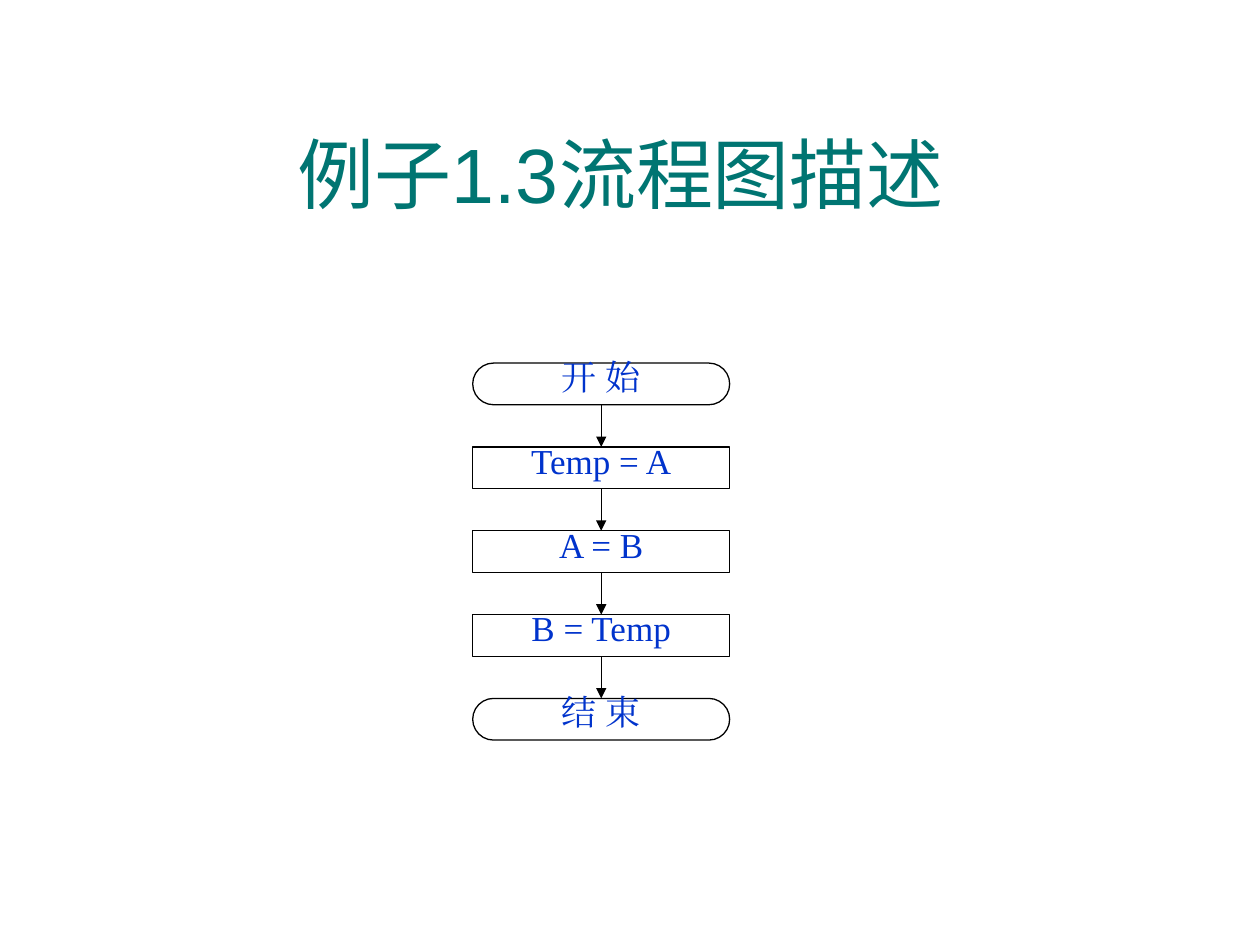
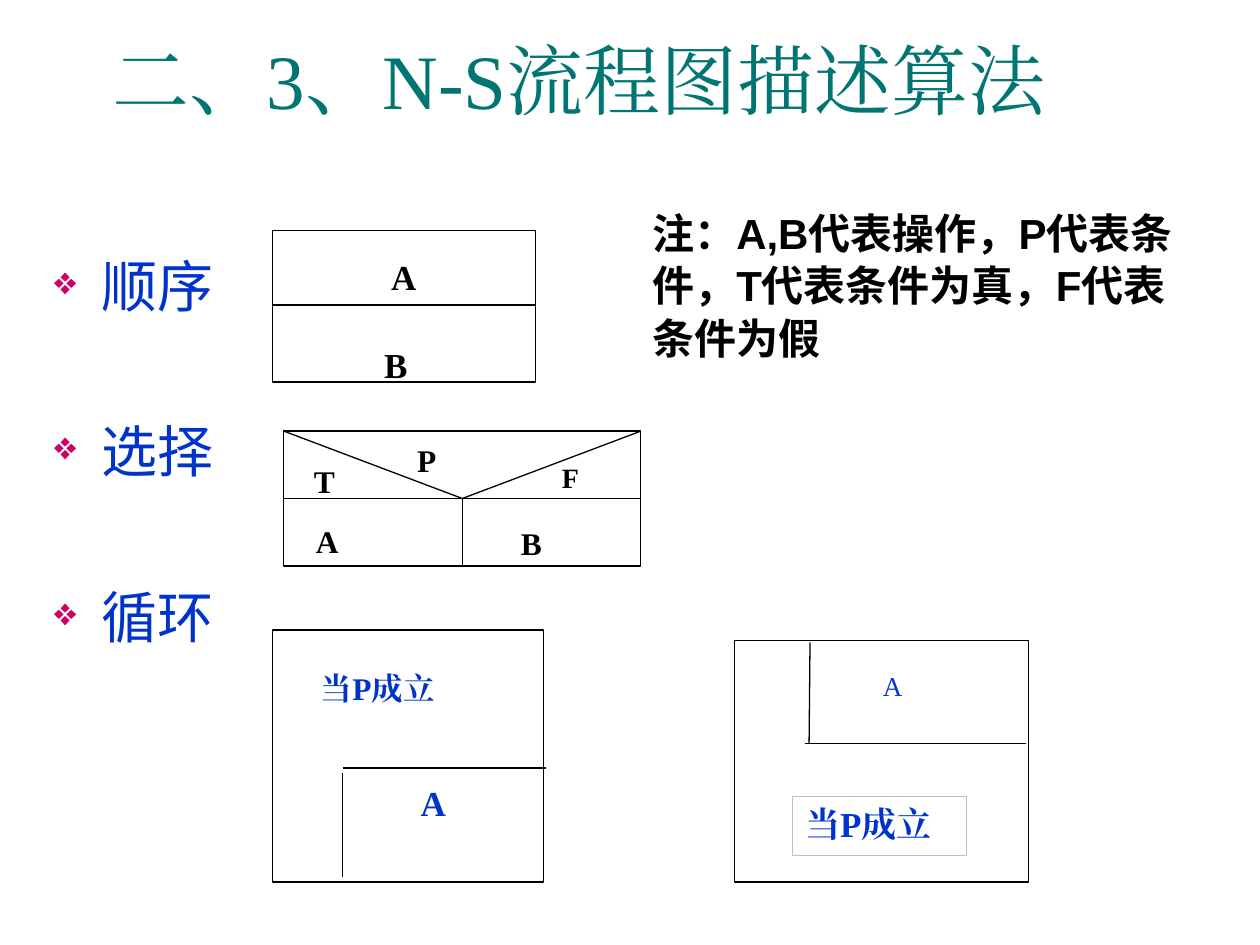
import pptx
import pptx.dml.color
import pptx.enum.shapes
import pptx.enum.text
import pptx.oxml.ns
import pptx.util
from lxml import etree

Cm = pptx.util.Cm
Pt = pptx.util.Pt
SHAPE = pptx.enum.shapes.MSO_SHAPE
ALIGN = pptx.enum.text.PP_ALIGN
ANCHOR = pptx.enum.text.MSO_ANCHOR
qn = pptx.oxml.ns.qn

TEAL, BLUE, BLACK, WHITE = "007572", "0033CC", "000000", "FFFFFF"
SILVER, PINK = "C0C0C0", "CC0066"
SANS, SERIF = "Arial", "Times New Roman"
INSET_X, INSET_Y = 0.25, 0.13


def colour(code):
    """Turn a hex string into a colour."""
    return pptx.dml.color.RGBColor.from_string(code)


def style_paragraph(para, size, font, code, bold=False, align=ALIGN.LEFT, spacing=None):
    """Set the font, alignment and line spacing of a paragraph."""
    para.alignment = align
    if spacing:
        para.line_spacing = spacing
    para.font.size = Pt(size)
    para.font.name = font
    para.font.bold = bold
    para.font.color.rgb = colour(code)
    properties = para.font._element
    latin = properties.find(qn("a:latin"))
    east_asian = etree.Element(qn("a:ea"), typeface=font)
    latin.addnext(east_asian)


def set_insets(frame):
    """Give a text frame the shared insets."""
    frame.margin_left = frame.margin_right = Cm(INSET_X)
    frame.margin_top = frame.margin_bottom = Cm(INSET_Y)


def add_text(page, text, left, top, width, height, size, font=SERIF, code=BLACK, **style):
    """Add a wrapping text box with one paragraph."""
    box = page.shapes.add_textbox(Cm(left), Cm(top), Cm(width), Cm(height))
    frame = box.text_frame
    frame.word_wrap = True
    set_insets(frame)
    para = frame.paragraphs[0]
    para.text = text
    style_paragraph(para, size, font, code, **style)
    return box


def add_title(page, text, left, top, font):
    """Add the slide title."""
    box = add_text(page, text, left, top, 23.72, 3.18, 44, font, TEAL, align=ALIGN.CENTER)
    box.text_frame.vertical_anchor = ANCHOR.MIDDLE
    box.text_frame.margin_right = Cm(0.61)


def add_frame(page, left, top, width, height, preset=SHAPE.RECTANGLE):
    """Add a white shape with a thin black outline."""
    shape = page.shapes.add_shape(preset, Cm(left), Cm(top), Cm(width), Cm(height))
    shape.shadow.inherit = False
    shape.fill.solid()
    shape.fill.fore_color.rgb = colour(WHITE)
    shape.line.color.rgb = colour(BLACK)
    shape.line.width = Pt(0.75)
    return shape


def add_line(page, start, end, width=0.75, arrow=False):
    """Add a straight black line, with an arrowhead at its end if wanted."""
    line = page.shapes.add_connector(
        pptx.enum.shapes.MSO_CONNECTOR.STRAIGHT,
        Cm(start[0]), Cm(start[1]), Cm(end[0]), Cm(end[1]))
    line.line.color.rgb = colour(BLACK)
    line.line.width = Pt(width)
    if arrow:
        etree.SubElement(line.line._get_or_add_ln(), qn("a:tailEnd"), type="triangle")
    etree.SubElement(line._element.spPr, qn("a:effectLst"))


def add_step(page, text, left, top, width, height, terminal):
    """Add one flowchart step; a terminal step has round ends."""
    preset = SHAPE.ROUNDED_RECTANGLE if terminal else SHAPE.RECTANGLE
    step = add_frame(page, left, top, width, height, preset)
    frame = step.text_frame
    frame.word_wrap = True
    frame.vertical_anchor = ANCHOR.TOP
    set_insets(frame)
    if terminal:
        step.adjustments[0] = 0.5
        frame.margin_top = frame.margin_bottom = 0
    para = frame.paragraphs[0]
    para.text = text
    style_paragraph(para, 20, SERIF, BLUE, align=ALIGN.CENTER, spacing=0.62)


def add_flowchart(page, steps, left=9.53, top=7.32, width=5.18, height=0.84, pitch=1.69):
    """Stack the steps at equal gaps and join them with arrows."""
    centre = left + width / 2
    for index, text in enumerate(steps):
        step_top = top + index * pitch
        add_step(page, text, left, step_top, width, height, index in (0, len(steps) - 1))
        if index:
            add_line(page, (centre, step_top - pitch + height), (centre, step_top), 0.25, True)


def add_bullets(page, items, left, top, width, height):
    """Add the widely spaced list of control structures."""
    box = page.shapes.add_textbox(Cm(left), Cm(top), Cm(width), Cm(height))
    frame = box.text_frame
    frame.word_wrap = True
    for index, text in enumerate(items):
        para = frame.add_paragraph() if index else frame.paragraphs[0]
        para.text = text
        if index:
            para.space_before = Pt(56)
        properties = para._p.get_or_add_pPr()
        properties.set("marL", str(Cm(0.96)))
        properties.set("indent", str(Cm(-0.96)))
        bullet_colour = etree.SubElement(properties, qn("a:buClr"))
        etree.SubElement(bullet_colour, qn("a:srgbClr"), val=PINK)
        etree.SubElement(properties, qn("a:buSzPct"), val="70000")
        etree.SubElement(properties, qn("a:buChar"), char="❖")
        style_paragraph(para, 32, SANS, BLUE)


def add_sequence(page):
    """Draw the sequence structure."""
    left, top, width, height, middle = 5.5, 4.65, 5.3, 3.05, 6.15
    add_frame(page, left, top, width, height)
    add_line(page, (left, middle), (left + width, middle))
    for text, label_left, label_top in (("A", 7.14, 5.03), ("B", 6.98, 6.8)):
        add_text(page, text, label_left, label_top, 2, 0.9, 20, bold=True, align=ALIGN.CENTER)


def add_selection(page):
    """Draw the selection structure."""
    left, top, width, height = 5.72, 8.69, 7.2, 2.72
    right, centre, middle = left + width, left + width / 2, top + height / 2
    add_frame(page, left, top, width, height)
    add_line(page, (left, middle), (right, middle))
    for corner in ((left, top), (right, top), (centre, top + height)):
        add_line(page, corner, (centre, middle))
    labels = (("P", 8.16, 8.76, 18), ("T", 6.08, 9.18, 18), ("F", 11.08, 9.16, 16),
              ("A", 6.12, 10.39, 18), ("B", 10.25, 10.43, 18))
    for text, label_left, label_top, size in labels:
        add_text(page, text, label_left, label_top, 1.2, 0.95, size, bold=True)


def add_while_loop(page):
    """Draw the loop that tests its condition first."""
    add_frame(page, 5.5, 12.7, 5.46, 5.08)
    add_line(page, (6.91, 15.48), (11, 15.48))
    add_line(page, (6.91, 15.58), (6.91, 17.68))
    add_text(page, "当P成立", 6.22, 13.36, 3.96, 1.78, 18, code=BLUE, bold=True)
    add_text(page, "A", 8.23, 15.62, 2.03, 1.65, 20, code=BLUE, bold=True)


def add_until_loop(page):
    """Draw the loop that tests its condition last."""
    add_frame(page, 14.81, 12.91, 5.92, 4.87)
    add_line(page, (16.33, 12.95), (16.31, 14.99))
    add_line(page, (16.23, 14.99), (20.68, 14.99))
    add_text(page, "A", 17.55, 13.49, 2.21, 0.94, 15.5, code=BLUE, spacing=0.8)
    condition = add_text(page, "当P成立", 15.98, 16.05, 3.5, 1.19, 20, code=BLUE, bold=True)
    condition.line.color.rgb = colour(SILVER)
    condition.line.width = Pt(0.5)


def main():
    """Build both slides and save the deck."""
    deck = pptx.Presentation()
    deck.slide_width, deck.slide_height = Cm(25.4), Cm(19.05)
    blank = deck.slide_layouts[6]

    page = deck.slides.add_slide(blank)
    add_title(page, "例子1.3流程图描述", 0.84, 1.9, SANS)
    add_flowchart(page, ("开 始", "Temp = A", "A = B", "B = Temp", "结 束"))

    page = deck.slides.add_slide(blank)
    add_title(page, "二、3、N-S流程图描述算法", 0, 0, SERIF)
    add_bullets(page, ("顺序", "选择", "循环"), 0.84, 4.95, 3.81, 12.7)
    add_sequence(page)
    add_selection(page)
    add_while_loop(page)
    add_until_loop(page)
    add_text(page, "注：A,B代表操作，P代表条件，T代表条件为真，F代表条件为假",
             12.9, 4.01, 11.23, 3.3, 24, SANS, bold=True, spacing=1.04)
    deck.save("out.pptx")


if __name__ == "__main__":
    main()
